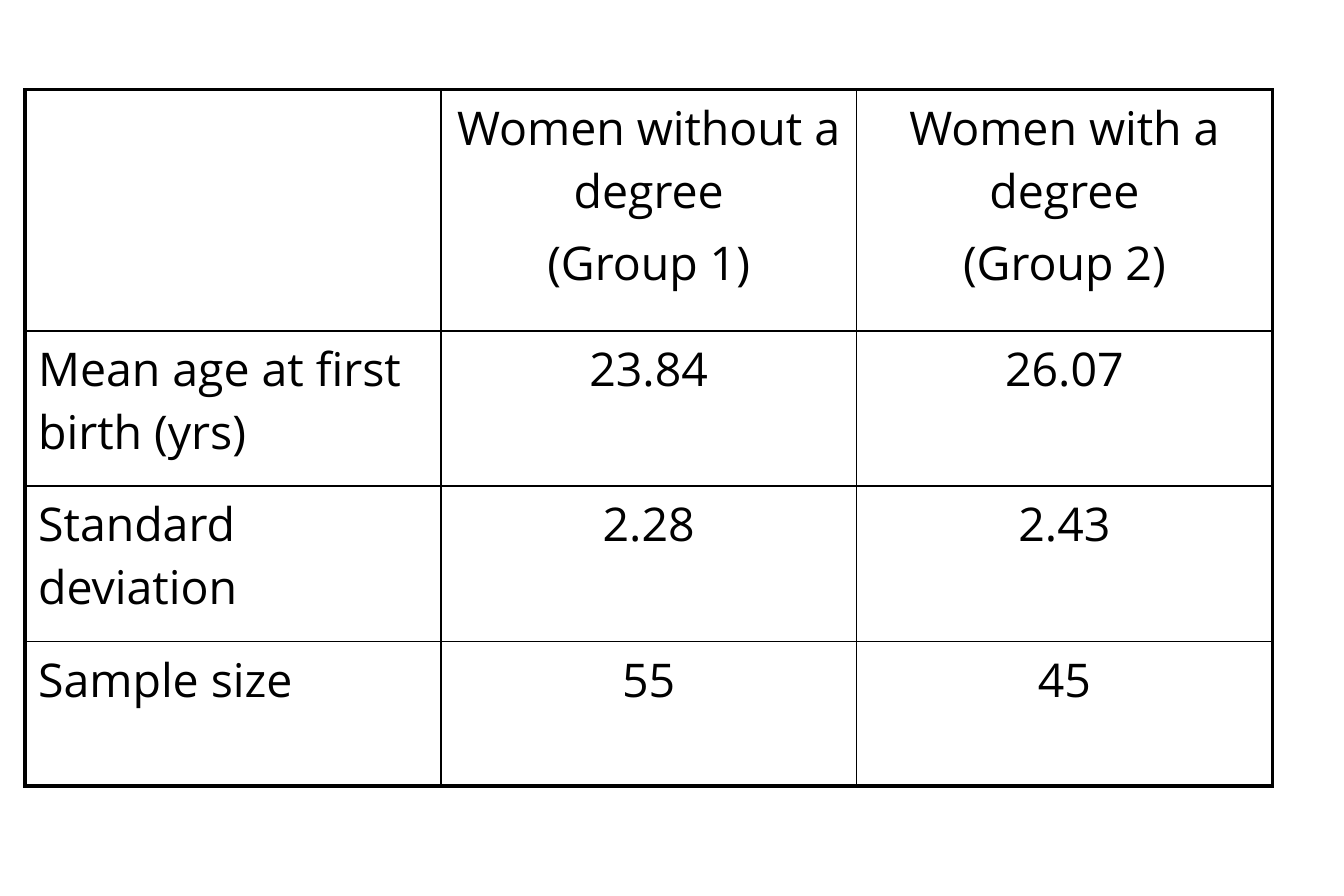
"""Build a slide with a table comparing two groups of women."""
from dataclasses import dataclass

import lxml.etree
import pptx
import pptx.dml.color
import pptx.enum.text
import pptx.oxml.ns
import pptx.table
import pptx.util

Inches = pptx.util.Inches
Pt = pptx.util.Pt


@dataclass(frozen=True)
class Theme:
    """Colours, type and line widths used on the slide."""
    ink: str = "000000"
    font: str = "Open Sans"
    size: float = 28
    space_before: float = 5.6
    outer_line: float = 2.21
    inner_line: float = 0.96


@dataclass(frozen=True)
class TableRow:
    """One table row: its height in inches and its cell texts."""
    height: float
    texts: tuple[str, str, str]


THEME = Theme()
COLUMN_WIDTH = 3.48
ROWS = (
    TableRow(2.02, ("", "Women without a degree\n(Group 1)",
                    "Women with a degree\n(Group 2)")),
    TableRow(1.3, ("Mean age at first birth (yrs)", "23.84", "26.07")),
    TableRow(1.3, ("Standard deviation", "2.28", "2.43")),
    TableRow(1.21, ("Sample size", "55", "45")),
)


def draw_borders(cell: pptx.table._Cell, outer: dict[str, bool]) -> None:
    """Draw the four borders of a cell, heavier on the table's outside."""
    properties = cell._tc.get_or_add_tcPr()
    for index, (side, is_outer) in enumerate(outer.items()):
        width = THEME.outer_line if is_outer else THEME.inner_line
        line = lxml.etree.Element(pptx.oxml.ns.qn(f"a:ln{side}"), w=str(Pt(width)))
        fill = lxml.etree.SubElement(line, pptx.oxml.ns.qn("a:solidFill"))
        lxml.etree.SubElement(fill, pptx.oxml.ns.qn("a:srgbClr"), val=THEME.ink)
        properties.insert(index, line)


def write_cell(cell: pptx.table._Cell, text: str, centred: bool) -> None:
    """Write and format the text of a cell."""
    cell.fill.background()
    cell.margin_left = cell.margin_right = Inches(0.11)
    cell.margin_top = cell.margin_bottom = Inches(0.05)
    cell.text_frame.text = text
    for para in cell.text_frame.paragraphs:
        para.space_before = Pt(THEME.space_before)
        if centred:
            para.alignment = pptx.enum.text.PP_ALIGN.CENTER
        para.font.name = THEME.font
        para.font.size = Pt(THEME.size)
        para.font.color.rgb = pptx.dml.color.RGBColor.from_string(THEME.ink)


def add_group_table(page: pptx.slide.Slide) -> None:
    """Add the table of both groups to the page."""
    column_count = len(ROWS[0].texts)
    frame = page.shapes.add_table(
        len(ROWS), column_count, Inches(0.21), Inches(0.75),
        Inches(COLUMN_WIDTH * column_count), Inches(sum(row.height for row in ROWS)))
    table = frame.table
    table.first_row = table.horz_banding = False
    for column in table.columns:
        column.width = Inches(COLUMN_WIDTH)
    for row_index, row in enumerate(ROWS):
        table.rows[row_index].height = Inches(row.height)
        for column_index, text in enumerate(row.texts):
            cell = table.cell(row_index, column_index)
            write_cell(cell, text, centred=column_index > 0)
            draw_borders(cell, {
                "L": column_index == 0,
                "R": column_index == column_count - 1,
                "T": row_index == 0,
                "B": row_index == len(ROWS) - 1,
            })


def main() -> None:
    """Create and save the deck."""
    deck = pptx.Presentation()
    deck.slide_width = Inches(11.25)
    deck.slide_height = Inches(7.5)
    page = deck.slides.add_slide(deck.slide_layouts.get_by_name("Blank"))
    add_group_table(page)
    deck.save("out.pptx")


main()
